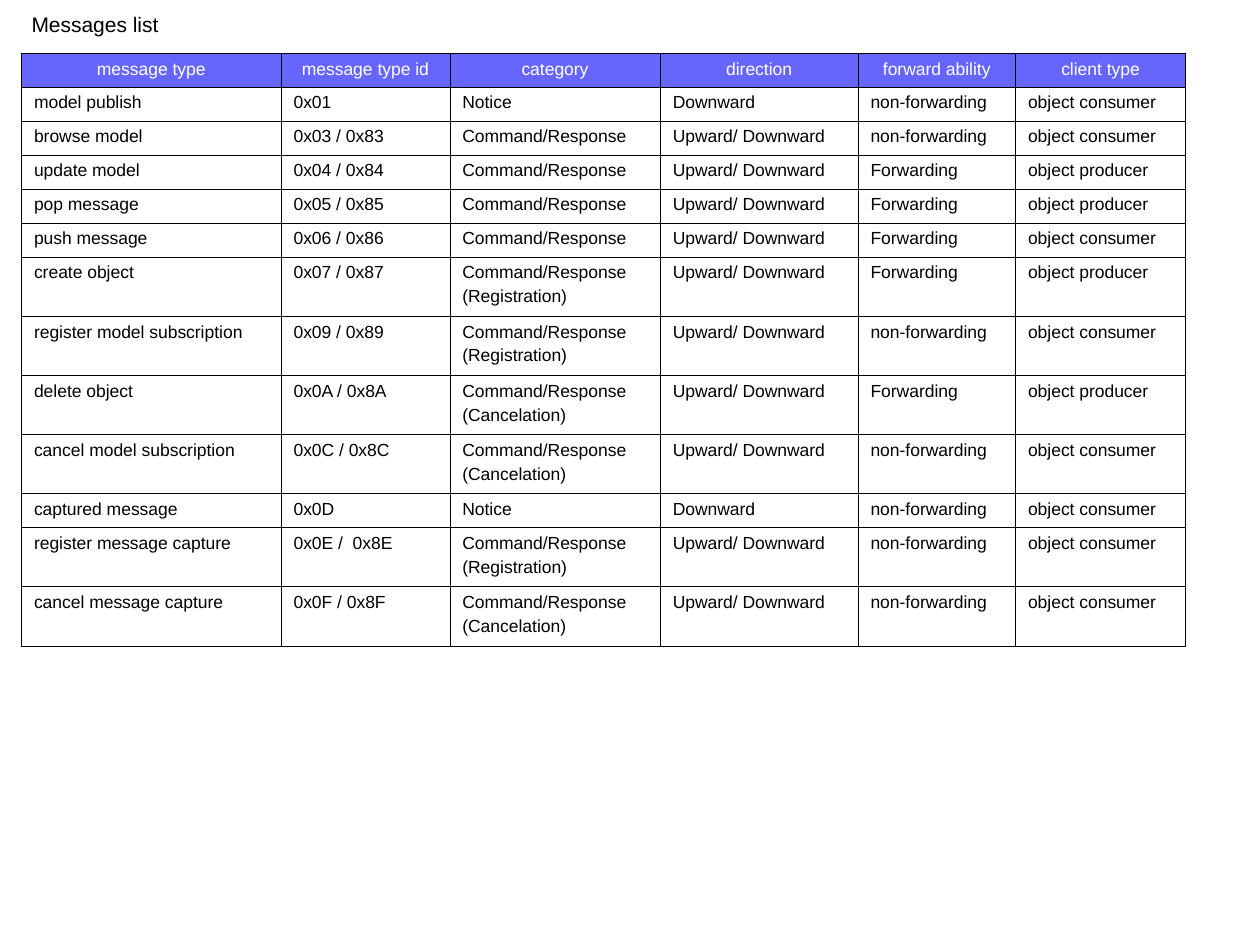
from lxml import etree
from pptx import Presentation
from pptx import util as u
from pptx.dml.color import RGBColor
from pptx.enum import text
from pptx.oxml.ns import qn

TITLE = "Messages list"
HEADERS = ("message type", "message type id", "category", "direction",
           "forward ability", "client type")
NOTICE = ("Notice",)
COMMAND = ("Command/Response",)
REGISTRATION = COMMAND + ("(Registration)",)
CANCELATION = COMMAND + ("(Cancelation)",)
DOWN, BOTH = "Downward", "Upward/ Downward"
FIXED, FORWARD = "non-forwarding", "Forwarding"
CONSUMER, PRODUCER = "object consumer", "object producer"
MESSAGES = [
    ("model publish", "0x01", NOTICE, DOWN, FIXED, CONSUMER),
    ("browse model", "0x03 / 0x83", COMMAND, BOTH, FIXED, CONSUMER),
    ("update model", "0x04 / 0x84", COMMAND, BOTH, FORWARD, PRODUCER),
    ("pop message", "0x05 / 0x85", COMMAND, BOTH, FORWARD, PRODUCER),
    ("push message", "0x06 / 0x86", COMMAND, BOTH, FORWARD, CONSUMER),
    ("create object", "0x07 / 0x87", REGISTRATION, BOTH, FORWARD, PRODUCER),
    ("register model subscription", "0x09 / 0x89", REGISTRATION, BOTH, FIXED, CONSUMER),
    ("delete object", "0x0A / 0x8A", CANCELATION, BOTH, FORWARD, PRODUCER),
    ("cancel model subscription", "0x0C / 0x8C", CANCELATION, BOTH, FIXED, CONSUMER),
    ("captured message", "0x0D", NOTICE, DOWN, FIXED, CONSUMER),
    ("register message capture", "0x0E /  0x8E", REGISTRATION, BOTH, FIXED, CONSUMER),
    ("cancel message capture", "0x0F / 0x8F", CANCELATION, BOTH, FIXED, CONSUMER),
]

COLUMN_WIDTHS = (2.06, 1.34, 1.67, 1.57, 1.25, 1.35)
ROW_HEIGHTS = {1: 0.27, 2: 0.47}
TABLE_LEFT, TABLE_TOP = 0.17, 0.42
THEME = {
    "font": "Arial", "title_size": 12, "cell_size": 10, "space_before": 2.5,
    "ink": "000000", "header_ink": "FFFFFF", "header_fill": "6666FF",
    "border": "000000", "border_width": 0.34,
}


def add_run(paragraph, words, size, color):
    run = paragraph.add_run()
    run.text = words
    run.font.name = THEME["font"]
    run.font.size = u.Pt(size)
    run.font.bold = False
    run.font.color.rgb = RGBColor.from_string(color)


def set_borders(cell):
    properties = cell._tc.get_or_add_tcPr()
    for index, side in enumerate(("lnL", "lnR", "lnT", "lnB")):
        line = etree.Element(qn("a:" + side), w=str(u.Pt(THEME["border_width"])))
        fill = etree.SubElement(line, qn("a:solidFill"))
        etree.SubElement(fill, qn("a:srgbClr"), val=THEME["border"])
        properties.insert(index, line)


def fill_cell(cell, lines, is_header):
    cell.margin_left = cell.margin_right = u.Inches(0.1)
    cell.margin_top = cell.margin_bottom = u.Inches(0.05)
    cell.vertical_anchor = text.MSO_ANCHOR.TOP
    if is_header:
        cell.fill.solid()
        cell.fill.fore_color.rgb = RGBColor.from_string(THEME["header_fill"])
    else:
        cell.fill.background()
    set_borders(cell)
    frame = cell.text_frame
    for index, words in enumerate(lines):
        paragraph = frame.add_paragraph() if index else frame.paragraphs[0]
        paragraph.alignment = text.PP_ALIGN.CENTER if is_header else text.PP_ALIGN.LEFT
        paragraph.space_before = u.Pt(THEME["space_before"])
        add_run(paragraph, words, THEME["cell_size"],
                THEME["header_ink" if is_header else "ink"])


def add_title(slide):
    title = slide.shapes.title
    title.left, title.top = u.Inches(0.15), u.Inches(0.04)
    title.width, title.height = u.Inches(1.21), u.Inches(0.3)
    frame = title.text_frame
    frame.word_wrap = False
    frame.auto_size = text.MSO_AUTO_SIZE.SHAPE_TO_FIT_TEXT
    frame.vertical_anchor = text.MSO_ANCHOR.TOP
    frame.margin_left = frame.margin_right = u.Inches(0.1)
    frame.margin_top = frame.margin_bottom = u.Inches(0.05)
    paragraph = frame.paragraphs[0]
    paragraph.alignment = text.PP_ALIGN.LEFT
    add_run(paragraph, TITLE, THEME["title_size"], THEME["ink"])


def add_message_table(slide):
    rows = [[value if isinstance(value, tuple) else (value,) for value in row]
            for row in [HEADERS, *MESSAGES]]
    heights = [ROW_HEIGHTS[max(len(lines) for lines in row)] for row in rows]
    table = slide.shapes.add_table(
        len(rows), len(HEADERS), u.Inches(TABLE_LEFT), u.Inches(TABLE_TOP),
        u.Inches(sum(COLUMN_WIDTHS)), u.Inches(sum(heights))).table
    table.horz_banding = False
    for column, width in zip(table.columns, COLUMN_WIDTHS):
        column.width = u.Inches(width)
    for row_index, (row, height) in enumerate(zip(rows, heights)):
        table.rows[row_index].height = u.Inches(height)
        for column_index, lines in enumerate(row):
            fill_cell(table.cell(row_index, column_index), lines, row_index == 0)


def main():
    presentation = Presentation()
    presentation.slide_width, presentation.slide_height = u.Inches(10), u.Inches(7.5)
    slide = presentation.slides.add_slide(presentation.slide_layouts[5])
    add_title(slide)
    add_message_table(slide)
    presentation.save("out.pptx")


if __name__ == "__main__":
    main()
